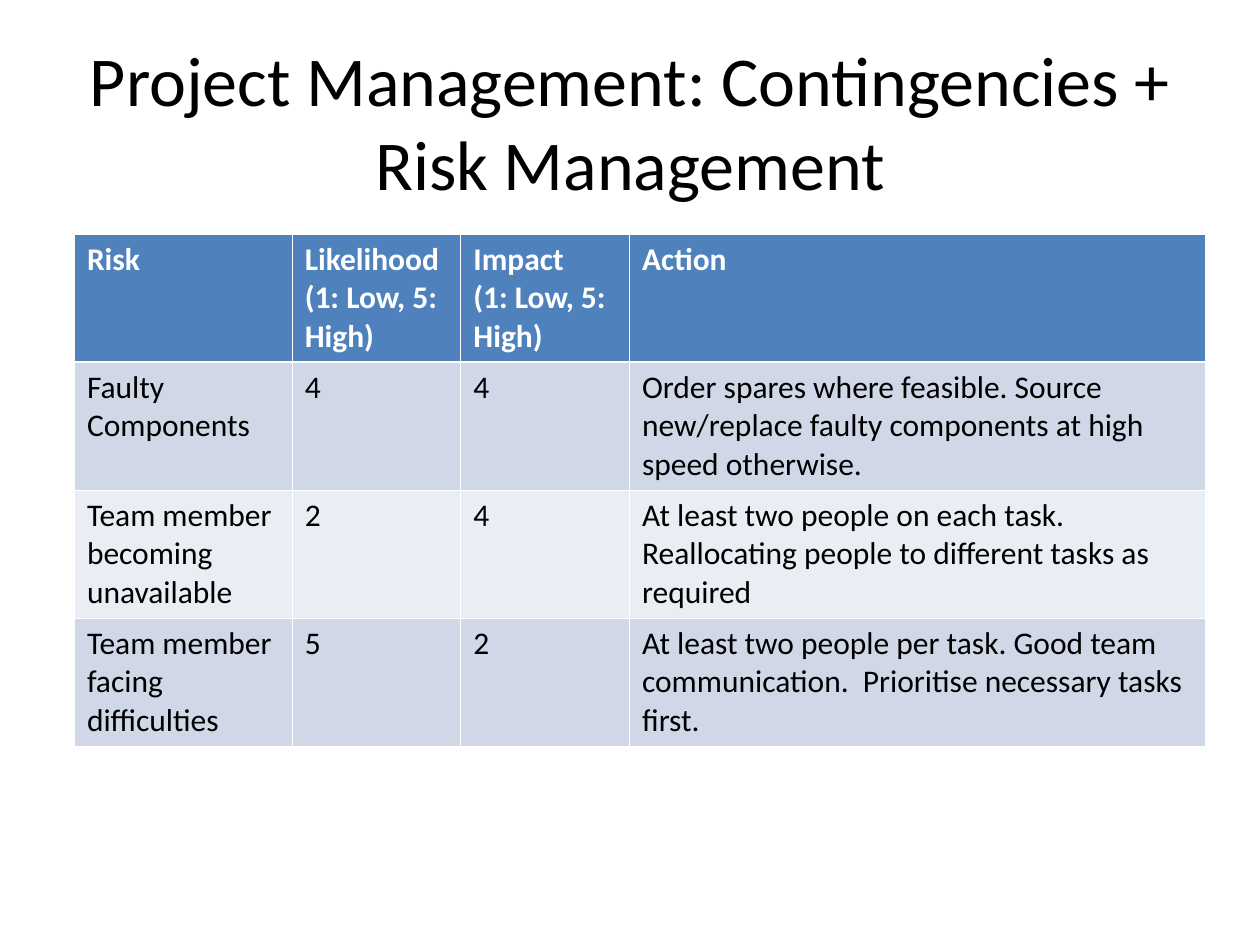
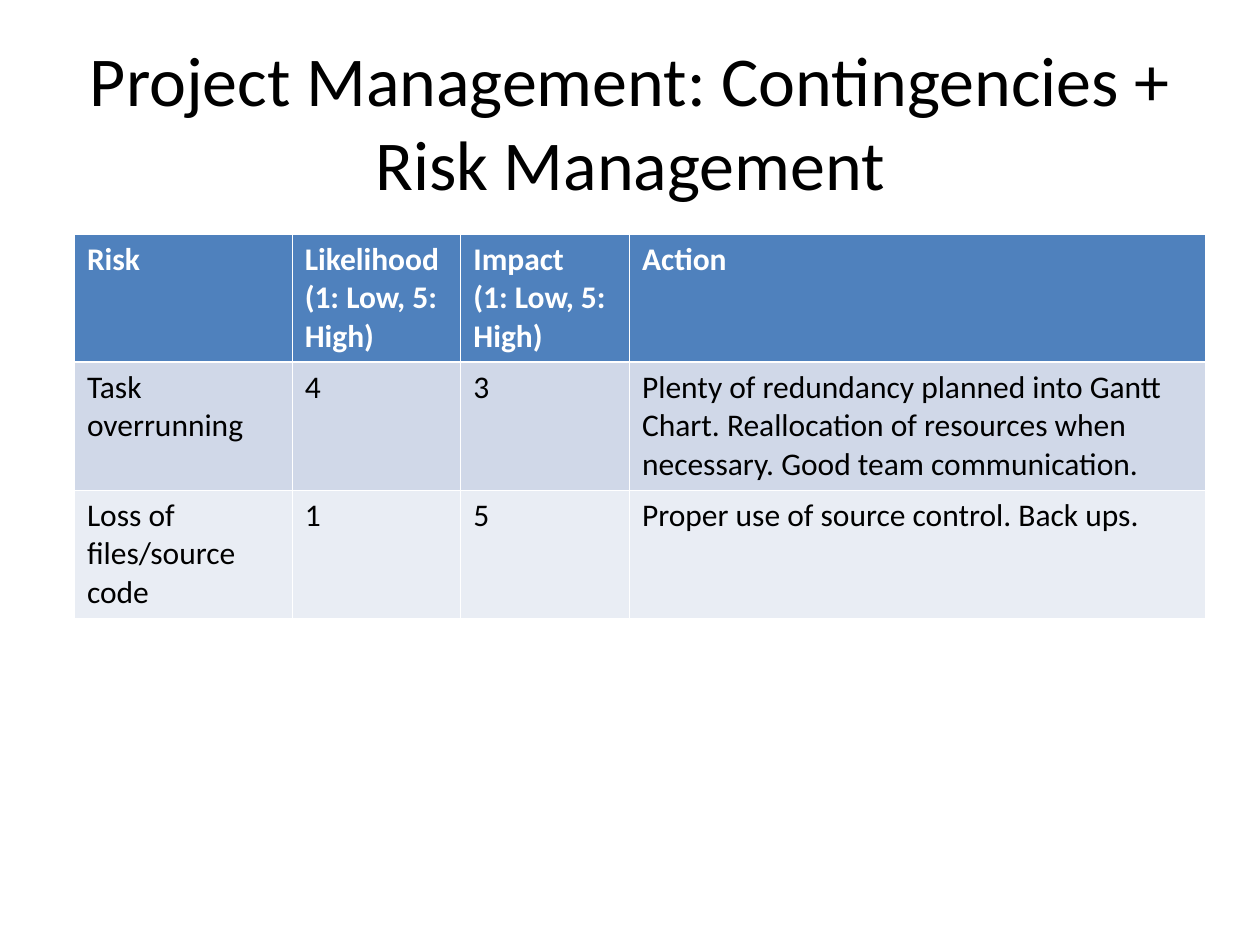
"""Build two project risk slides with a shared title and table style."""
import lxml.etree
import pptx
import pptx.dml.color
import pptx.enum.text
import pptx.oxml.ns
import pptx.util

Cm = pptx.util.Cm
Pt = pptx.util.Pt

COLOURS = {
    "text": "000000",
    "white": "FFFFFF",
    "header": "4F81BD",
    "odd_row": "D0D8E8",
    "even_row": "E9EDF4",
}
FONT = "Calibri"
TITLE = "Project Management: Contingencies + Risk Management"
SCALE = "(1: Low, 5: High)"
HEADINGS = ("Risk", f"Likelihood\n{SCALE}", f"Impact\n{SCALE}", "Action")
COLUMN_WIDTHS = (4.39, 3.4, 3.4, 11.61)
ROW_HEIGHT = 2.54
THIN, THICK = 0.45, 1.47

RISK_SLIDES = (
    (
        ("Faulty Components", "4", "4",
         "Order spares where feasible. Source new/replace faulty components at high speed otherwise."),
        ("Team member becoming unavailable", "2", "4",
         "At least two people on each task. Reallocating people to different tasks as required"),
        ("Team member facing difficulties", "5", "2",
         "At least two people per task. Good team communication.  Prioritise necessary tasks first."),
    ),
    (
        ("Task overrunning", "4", "3",
         "Plenty of redundancy planned into Gantt Chart. Reallocation of resources when necessary. "
         "Good team communication."),
        ("Loss of files/source code", "1", "5",
         "Proper use of source control. Back ups."),
    ),
)


def colour(name):
    """Return a named colour."""
    return pptx.dml.color.RGBColor.from_string(COLOURS[name])


class RiskDeck:
    """Hold the presentation, its style and the current slide."""

    def __init__(self):
        """Start an empty 4:3 presentation."""
        self.presentation = pptx.Presentation()
        self.presentation.slide_width = Cm(25.4)
        self.presentation.slide_height = Cm(19.05)
        self.slide = None

    def add_slide(self, title):
        """Add a slide with a centred title."""
        self.slide = self.presentation.slides.add_slide(self.presentation.slide_layouts[5])
        shape = self.slide.shapes.title
        shape.left, shape.top, shape.width, shape.height = Cm(1.27), Cm(0.76), Cm(22.86), Cm(3.35)
        shape.text_frame.text = title
        shape.text_frame.vertical_anchor = pptx.enum.text.MSO_ANCHOR.MIDDLE
        paragraph = shape.text_frame.paragraphs[0]
        paragraph.alignment = pptx.enum.text.PP_ALIGN.CENTER
        self.style_paragraph(paragraph, 40, "text")

    def style_paragraph(self, paragraph, size, colour_name, bold=False):
        """Set the font of a paragraph."""
        font = paragraph.font
        font.name, font.size, font.bold = FONT, Pt(size), bold
        font.color.rgb = colour(colour_name)

    def add_risk_table(self, risks):
        """Add a table with a heading row and one row per risk."""
        rows = (HEADINGS, *risks)
        table = self.slide.shapes.add_table(
            len(rows), len(HEADINGS), Cm(1.5), Cm(4.72),
            Cm(sum(COLUMN_WIDTHS)), Cm(ROW_HEIGHT * len(rows))).table
        for column, width in zip(table.columns, COLUMN_WIDTHS):
            column.width = Cm(width)
        for row_index, values in enumerate(rows):
            table.rows[row_index].height = Cm(ROW_HEIGHT)
            for column_index, value in enumerate(values):
                self.fill_cell(table.cell(row_index, column_index), value, row_index)

    def fill_cell(self, cell, value, row_index):
        """Write and format one table cell."""
        is_header = row_index == 0
        band = "odd_row" if row_index % 2 else "even_row"
        cell.text = value
        cell.fill.solid()
        cell.fill.fore_color.rgb = colour("header" if is_header else band)
        for paragraph in cell.text_frame.paragraphs:
            self.style_paragraph(paragraph, 18, "white" if is_header else "text", is_header)
        top = THICK if row_index == 1 else THIN
        bottom = THICK if is_header else THIN
        self.add_borders(cell, {"lnL": THIN, "lnR": THIN, "lnT": top, "lnB": bottom})

    def add_borders(self, cell, widths):
        """Draw white borders of the given widths around a cell."""
        qn = pptx.oxml.ns.qn
        properties = cell._tc.get_or_add_tcPr()
        for position, (side, width) in enumerate(widths.items()):
            line = lxml.etree.Element(qn(f"a:{side}"), w=str(int(Pt(width))))
            fill = lxml.etree.SubElement(line, qn("a:solidFill"))
            lxml.etree.SubElement(fill, qn("a:srgbClr"), val=COLOURS["white"])
            properties.insert(position, line)


def main():
    """Build and save the slides."""
    deck = RiskDeck()
    for risks in RISK_SLIDES:
        deck.add_slide(TITLE)
        deck.add_risk_table(risks)
    deck.presentation.save("out.pptx")


if __name__ == "__main__":
    main()
